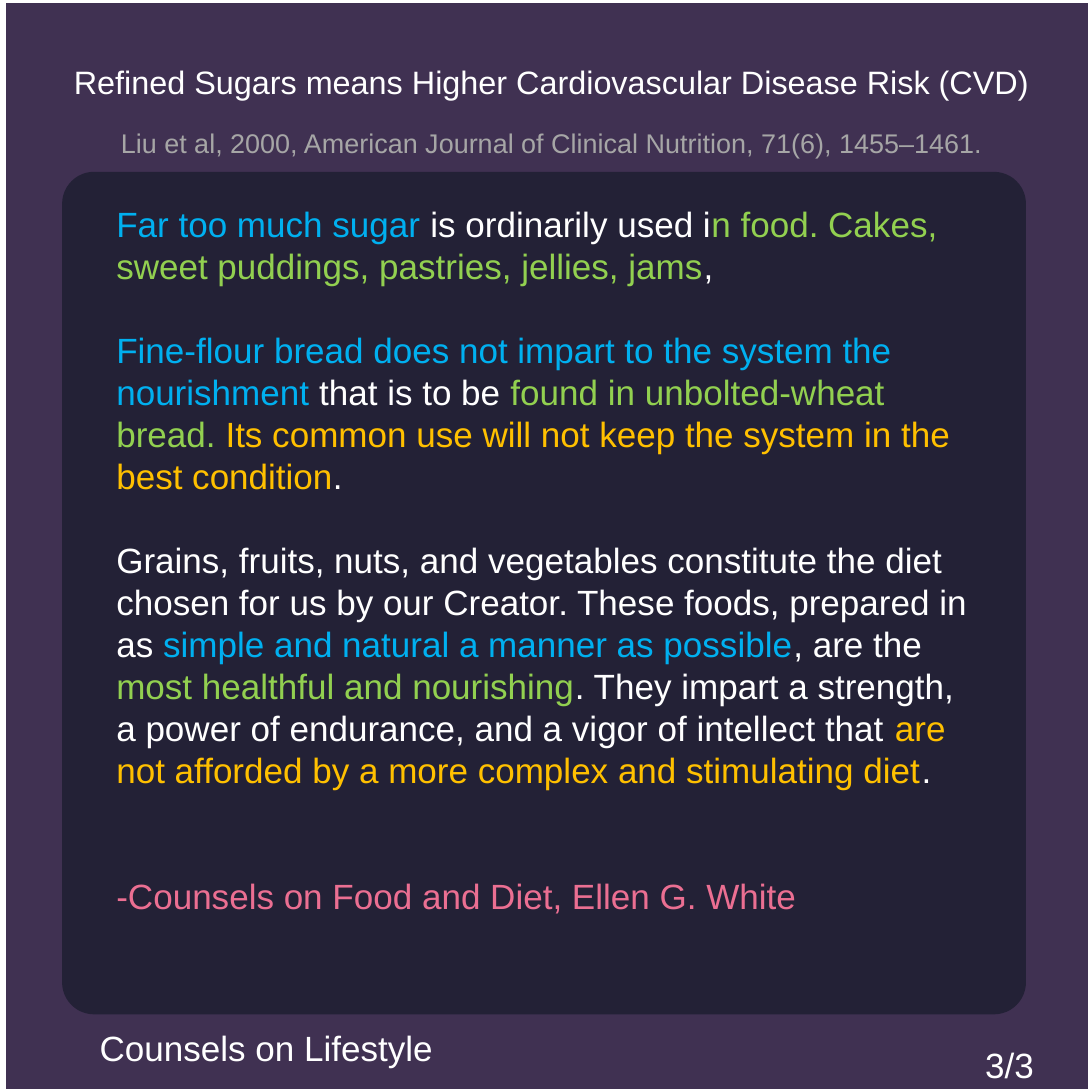
import pptx
import pptx.util
import pptx.dml.color
import pptx.enum.shapes
import pptx.enum.text

RGBColor = pptx.dml.color.RGBColor
Inches = pptx.util.Inches
Pt = pptx.util.Pt

PURPLE = RGBColor(0x40, 0x31, 0x52)
NAVY = RGBColor(0x23, 0x21, 0x36)
WHITE = RGBColor(0xFF, 0xFF, 0xFF)
GREY = RGBColor(0xA6, 0xA6, 0xA6)
BLUE = RGBColor(0x00, 0xB0, 0xF0)
GREEN = RGBColor(0x92, 0xD0, 0x50)
AMBER = RGBColor(0xFF, 0xC0, 0x00)
PINK = RGBColor(0xEB, 0x6F, 0x92)

SIDE = 11.25
FONT = "Arial"
BODY_SIZE = 26
BODY_LINE = 31.14
LABEL_LINE = 61.6
LABEL_HEIGHT = 0.86

PANEL = (0.64, 1.77, 9.93, 8.68)
BODY = (1.1, 2.04, 9.03, 7.9)
FRAME = (0.03, 0, 11.21, SIDE)

LABELS = [
    ("Refined Sugars means Higher Cardiovascular Disease Risk (CVD)", -0.47, 0.18, 12.3, 24, WHITE),
    ("Liu et al, 2000, American Journal of Clinical Nutrition, 71(6), 1455–1461.",
     -0.09, 0.78, 11.55, 20, GREY),
    ("Counsels on Lifestyle", 0.55, 10.15, 4.39, 26, WHITE),
    ("3/3", 9.71, 10.33, 1.38, 26, WHITE),
]

QUOTES = [
    (0, [
        ("Far too much sugar", BLUE),
        (" is ordinarily used i", WHITE),
        ("n food. Cakes, sweet puddings, pastries, jellies, jams", GREEN),
        (",", WHITE),
    ]),
    (1, [
        ("Fine-flour bread does not impart to the system the nourishment", BLUE),
        (" that is to be ", WHITE),
        ("found in unbolted-wheat bread. ", GREEN),
        ("Its common use will not keep the system in the best condition", AMBER),
        (".", WHITE),
    ]),
    (1, [
        ("Grains, fruits, nuts, and vegetables constitute the diet chosen for us by our Creator. "
         "These foods, prepared in as ", WHITE),
        ("simple and natural a manner as possible", BLUE),
        (", are the ", WHITE),
        ("most healthful and nourishing", GREEN),
        (". They impart a strength, a power of endurance, and a vigor of intellect that ", WHITE),
        ("are not afforded by a more complex and stimulating diet", AMBER),
        (".", WHITE),
    ]),
    (2, [("-Counsels on Food and Diet, Ellen G. White", PINK)]),
]


def format_run(run, size, color):
    run.font.name = FONT
    run.font.size = Pt(size)
    run.font.color.rgb = color


def add_text_frame(slide, box):
    text_frame = slide.shapes.add_textbox(*map(Inches, box)).text_frame
    text_frame.word_wrap = True
    return text_frame


def add_label(slide, text, left, top, width, size, color):
    text_frame = add_text_frame(slide, (left, top, width, LABEL_HEIGHT))
    text_frame.margin_left = text_frame.margin_right = 0
    text_frame.margin_top = text_frame.margin_bottom = 0
    text_frame.text = text
    paragraph = text_frame.paragraphs[0]
    paragraph.alignment = pptx.enum.text.PP_ALIGN.CENTER
    paragraph.line_spacing = Pt(LABEL_LINE)
    format_run(paragraph.runs[0], size, color)


def add_quotes(slide):
    text_frame = add_text_frame(slide, BODY)
    for index, (gap_lines, pieces) in enumerate(QUOTES):
        paragraph = text_frame.add_paragraph() if index else text_frame.paragraphs[0]
        paragraph.line_spacing = Pt(BODY_LINE)
        paragraph.space_before = Pt(gap_lines * BODY_LINE)
        for text, color in pieces:
            run = paragraph.add_run()
            run.text = text
            format_run(run, BODY_SIZE, color)


def add_panel(slide):
    panel = slide.shapes.add_shape(
        pptx.enum.shapes.MSO_SHAPE.ROUNDED_RECTANGLE, *map(Inches, PANEL))
    panel.shadow.inherit = False
    panel.adjustments[0] = 0.038
    panel.fill.solid()
    panel.fill.fore_color.rgb = NAVY
    panel.line.fill.background()


def add_frame(slide):
    frame = slide.shapes.add_shape(pptx.enum.shapes.MSO_SHAPE.RECTANGLE, *map(Inches, FRAME))
    frame.shadow.inherit = False
    frame.fill.background()
    frame.line.color.rgb = WHITE
    frame.line.width = Pt(4.5)


def main():
    presentation = pptx.Presentation()
    presentation.slide_width = presentation.slide_height = Inches(SIDE)
    slide = presentation.slides.add_slide(presentation.slide_layouts[6])
    slide.background.fill.solid()
    slide.background.fill.fore_color.rgb = PURPLE
    add_panel(slide)
    add_quotes(slide)
    for label in LABELS:
        add_label(slide, *label)
    add_frame(slide)
    presentation.save("out.pptx")


if __name__ == "__main__":
    main()
